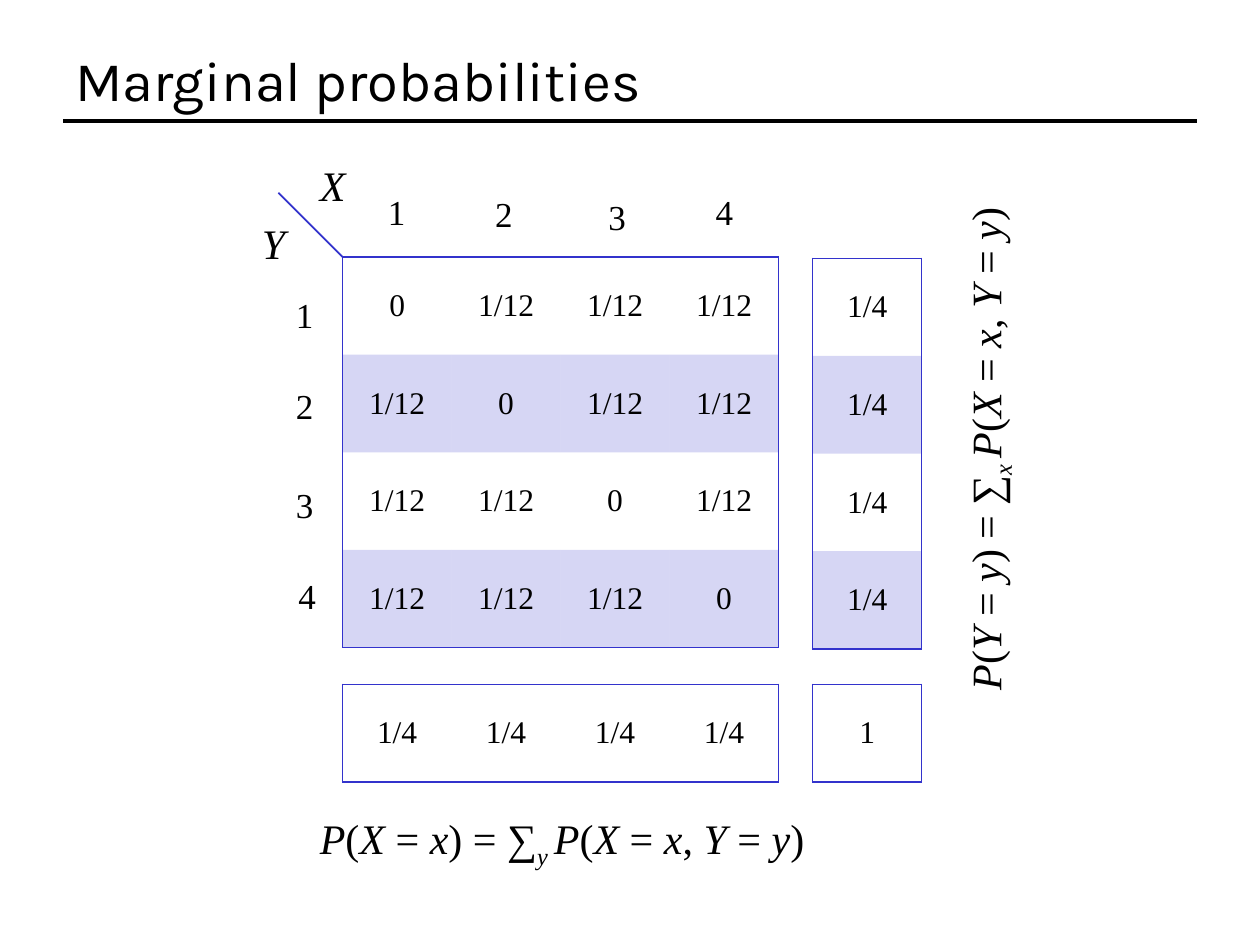
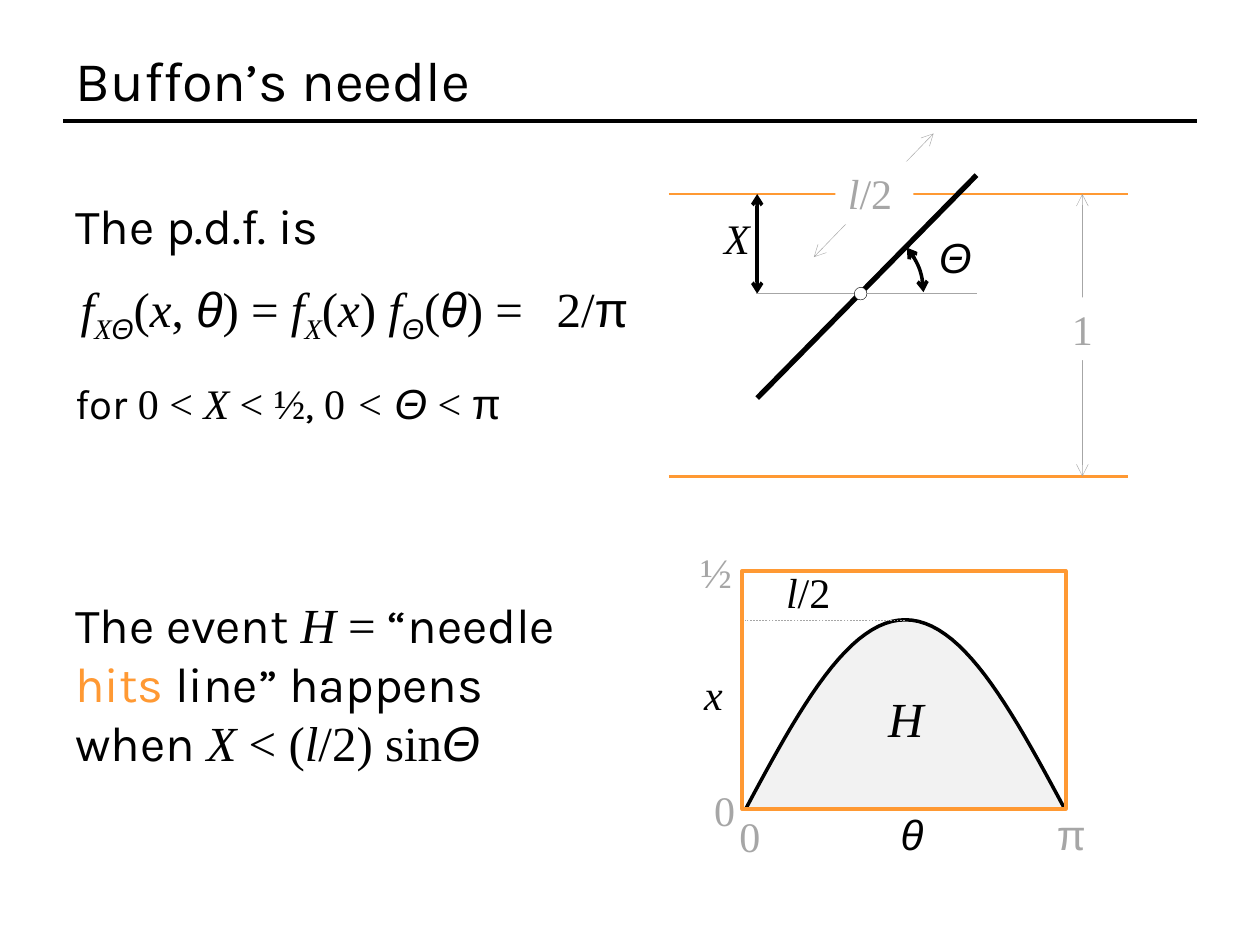
from itertools import groupby
from math import pi, sin

from lxml import etree
from pptx import Presentation
from pptx.dml.color import RGBColor
from pptx.enum.dml import MSO_LINE
from pptx.enum.shapes import MSO_CONNECTOR, MSO_SHAPE
from pptx.enum.text import MSO_ANCHOR, MSO_AUTO_SIZE, PP_ALIGN
from pptx.oxml.ns import qn
from pptx.util import Pt

# Enum members
LEFT, MID, RIGHT = PP_ALIGN.LEFT, PP_ALIGN.CENTER, PP_ALIGN.RIGHT
CENTRE = MSO_ANCHOR.MIDDLE
TOP = MSO_ANCHOR.TOP
GROW, FIXED = MSO_AUTO_SIZE.SHAPE_TO_FIT_TEXT, MSO_AUTO_SIZE.NONE
STRAIGHT = MSO_CONNECTOR.STRAIGHT
RECT, OVAL, ARC = MSO_SHAPE.RECTANGLE, MSO_SHAPE.OVAL, MSO_SHAPE.ARC
DASH = MSO_LINE.DASH

# Colours and fonts
BLACK = RGBColor(0x00, 0x00, 0x00)
WHITE = RGBColor(0xFF, 0xFF, 0xFF)
BLUE = RGBColor(0x33, 0x33, 0xCC)
ORANGE = RGBColor(0xFF, 0x99, 0x33)
GREY = RGBColor(0xA6, 0xA6, 0xA6)
PALE = RGBColor(0xF2, 0xF2, 0xF2)
SERIF, SANS, SYMBOL = "Times New Roman", "Karla", "Arial"
GREEK = "θΘπ"
NO_GRID = "{2D5ABB26-0587-4C30-8999-92F81FD0307C}"

# Joint table grid
COL, ROW = 62.3, 55.8


def split(text):
    """Yield (char, style); * italic, _ subscript, ~ sans, ^ orange."""
    state = frozenset()
    for char in text:
        if char in "*_~^":
            state ^= {char}
        else:
            yield char, (state, char in GREEK)


def write(para, text, size=24, color=BLACK, align=LEFT):
    para.alignment = align
    for i, line in enumerate(text.split("\n")):
        if i:
            para.add_line_break()
        for (state, greek), group in groupby(split(line), lambda pair: pair[1]):
            run = para.add_run()
            run.text = "".join(char for char, _ in group)
            font = run.font
            font.size = Pt(size)
            font.name = SYMBOL if greek else SANS if "~" in state else SERIF
            font.italic = "*" in state
            font.color.rgb = ORANGE if "^" in state else color
            if "_" in state:
                run._r.get_or_add_rPr().set("baseline", "-25000")


def label(slide, text, x, y, w, h=36, wrap=False, anchor=TOP, fit=GROW,
          fill=None, turn=0, **form):
    box = slide.shapes.add_textbox(Pt(x), Pt(y), Pt(w), Pt(h))
    box.rotation = turn
    if fill is not None:
        box.fill.solid()
        box.fill.fore_color.rgb = fill
    frame = box.text_frame
    frame.word_wrap, frame.auto_size = wrap, fit
    frame.vertical_anchor = anchor
    write(frame.paragraphs[0], text, **form)


def pen(shape, color, width, arrows=False, dash=None):
    line = shape.line
    line.color.rgb = color
    line.width = Pt(width)
    if dash:
        line.dash_style = dash
    if arrows:
        for end in ("a:headEnd", "a:tailEnd"):
            etree.SubElement(line._get_or_add_ln(), qn(end), type="arrow")


def rule(slide, x1, y1, x2, y2, color=BLACK, width=1, **ends):
    line = slide.shapes.add_connector(STRAIGHT, Pt(x1), Pt(y1), Pt(x2), Pt(y2))
    pen(line, color, width, **ends)
    etree.SubElement(line._element.spPr, qn("a:effectLst"))


def paint(shape, fill):
    shape.shadow.inherit = False
    if fill is None:
        shape.fill.background()
    else:
        shape.fill.solid()
        shape.fill.fore_color.rgb = fill


def figure(slide, kind, x, y, w, h, color, width, fill=None, **ends):
    shape = slide.shapes.add_shape(kind, Pt(x), Pt(y), Pt(w), Pt(h))
    paint(shape, fill)
    pen(shape, color, width, **ends)
    return shape


def hump(slide, x, base, w, h, steps=48):
    """Filled half wave of the sine."""
    spots = [(Pt(x + w * i / steps), Pt(base - h * sin(pi * i / steps)))
             for i in range(steps + 1)]
    path = slide.shapes.build_freeform(*spots[0])
    path.add_line_segments(spots[1:], close=False)
    shape = path.convert_to_shape()
    paint(shape, PALE)
    pen(shape, BLACK, 2)


def edge(cell, side):
    line = etree.SubElement(cell._tc.get_or_add_tcPr(), qn("a:ln" + side),
                            w=str(Pt(1)))
    fill = etree.SubElement(line, qn("a:solidFill"))
    etree.SubElement(fill, qn("a:srgbClr"), val=str(BLUE))


def grid(slide, rows, x, y):
    """Table with an outer frame and every second row tinted."""
    high, wide = len(rows), len(rows[0])
    table = slide.shapes.add_table(high, wide, Pt(x), Pt(y), Pt(COL * wide),
                                   Pt(ROW * high)).table
    table.first_row = table.horz_banding = False
    table._tbl.tblPr.find(qn("a:tableStyleId")).text = NO_GRID
    for c in range(wide):
        table.columns[c].width = Pt(COL)
    for r, row in enumerate(rows):
        table.rows[r].height = Pt(ROW)
        for c, text in enumerate(row):
            cell = table.cell(r, c)
            cell.vertical_anchor = CENTRE
            write(cell.text_frame.paragraphs[0], text, size=18, align=MID)
            outer = {"L": c == 0, "R": c == wide - 1,
                     "T": r == 0, "B": r == high - 1}
            for side in filter(outer.get, outer):
                edge(cell, side)
            if r % 2:
                cell.fill.solid()
                cell.fill.fore_color.rgb = BLUE
                tint = cell._tc.tcPr.find(qn("a:solidFill"))[0]
                etree.SubElement(tint, qn("a:alpha"), val="20000")
            else:
                cell.fill.background()


def page(deck, title):
    slide = deck.slides.add_slide(deck.slide_layouts[6])
    rule(slide, 36, 69.1, 684, 69.1, width=2)
    label(slide, f"~{title}~", 36, 21.6, 648, 47.5, size=32, wrap=True,
          anchor=CENTRE, fit=FIXED)
    return slide


def margins(deck):
    slide = page(deck, "Marginal probabilities")
    left, top, side, foot = 195.8, 146.9, 464.4, 391

    # Joint table, its margins and total
    joint = [["0" if r == c else "1/12" for c in range(4)] for r in range(4)]
    grid(slide, joint, left, top)
    grid(slide, [["1/4"] * 4], left, foot)
    grid(slide, [["1/4"]] * 4, side, top + 0.7)
    grid(slide, [["1"]], side, foot)

    # Axis names and values
    rule(slide, left, top, left - 36.7, top - 36.7, BLUE)
    label(slide, "*X*", 175.7, 87.8, 38)
    label(slide, "*Y*", 142.6, 121, 36)
    heads = [(214.6, 105.1), (275.8, 106.6), (340.6, 108), (401.8, 105.1)]
    sides = [(162, 164.2), (162, 216), (162, 272.9), (163.4, 324.7)]
    for spots in (heads, sides):
        for n, (x, y) in enumerate(spots, 1):
            label(slide, str(n), x, y, 23.8, 31.7, size=20, align=MID)

    # Sum formulas
    for big, low, other, x, y, turn in (("X", "x", "y", 175.7, 460.8, 0),
                                        ("Y", "y", "x", 409, 229.7, 270)):
        text = (f"*P*(*{big}* = *{low}*) = ∑*_{other} _P*"
                "(*X* = *x*, *Y* = *y*)")
        label(slide, text, x, y, 307.4, turn=turn)


def needle(deck):
    slide = page(deck, "Buffon’s needle")
    top, low, axis, foot = 110.9, 272.2, 167.8, 462.2

    # Ruled lines, needle and distances
    for y in (top, low):
        rule(slide, 382.3, y, 644.4, y, ORANGE, 1.5)
    rule(slide, 432.7, 227.5, 558, 100.1, width=3)
    rule(slide, 432.7, top, 432.7, axis, width=2, arrows=True)
    label(slide, "*X*", 397.4, 118.1, 38.2, align=RIGHT)
    rule(slide, 618.5, top, 618.5, low, GREY, 0.25, arrows=True)
    label(slide, "1", 605.5, 169.9, 25.9, color=GREY, fill=WHITE)
    rule(slide, 533.5, 76.3, 465.1, 146.9, GREY, 0.25, arrows=True)
    label(slide, "*l*/2", 477.4, 92.2, 44.6, color=GREY, fill=WHITE)

    # Density and event
    label(slide, "~The p.d.f. is~", 36, 108, 326.2, 41, size=28, wrap=True)
    label(slide, "*f_XΘ_*(*x*, *θ*) = *f_X_*(*x*) *f_Θ_*(*θ*) = ",
          36, 155.5, 280, 41, size=28, align=MID)
    label(slide, "2/π", 311, 155.5, 57.6, 41, size=28)
    label(slide, "~for ~0 < *X* < ½~, ~0* < Θ* < π", 36, 212.4, 346.3,
          wrap=True)
    label(slide, "~The event ~*H* = ~“needle~\n~^hits ^line” happens~\n"
          "~when ~*X* < (*l*/2) sin*Θ*", 36, 336.2, 326.2, 108.7,
          size=28, wrap=True)

    # Midpoint and angle
    rule(slide, 558, axis, 432, axis, GREY, 0.25)
    figure(slide, OVAL, 488.2, 164.2, 7.2, 7.2, BLACK, 0.25, fill=WHITE)
    label(slide, "*Θ*", 520.6, 128.9, 41.8, align=RIGHT)
    angle = figure(slide, ARC, 447.8, 127.4, 79.9, 79.9, BLACK, 2, arrows=True)
    angle.adjustments[0], angle.adjustments[1] = 191.85, 215.69

    # Region of the event
    hump(slide, 426.2, foot, 182.2, 108)
    figure(slide, RECT, 424.1, 326.2, 185, 136.1, ORANGE, 2)
    rule(slide, 517, 354.2, 425.5, 354.2, GREY, 0.25, dash=DASH)
    for text, x, y, w, color in (("*θ*", 507.6, 458.6, 31.7, BLACK),
                                 ("*x*", 395.3, 378.7, 28.8, BLACK),
                                 ("*l*/2", 442.1, 320.4, 44.6, BLACK),
                                 ("0", 415.4, 459.4, 26.4, GREY),
                                 ("π", 596.9, 458.6, 28, GREY),
                                 ("½", 393.1, 308.9, 34.6, GREY),
                                 ("0", 401, 445, 26.4, GREY)):
        label(slide, text, x, y, w, color=color)
    label(slide, "*H*", 500.4, 390.2, 39.6, 41, size=28)


def main():
    deck = Presentation()
    deck.slide_width, deck.slide_height = Pt(720), Pt(540)
    margins(deck)
    needle(deck)
    deck.save("out.pptx")


if __name__ == "__main__":
    main()
